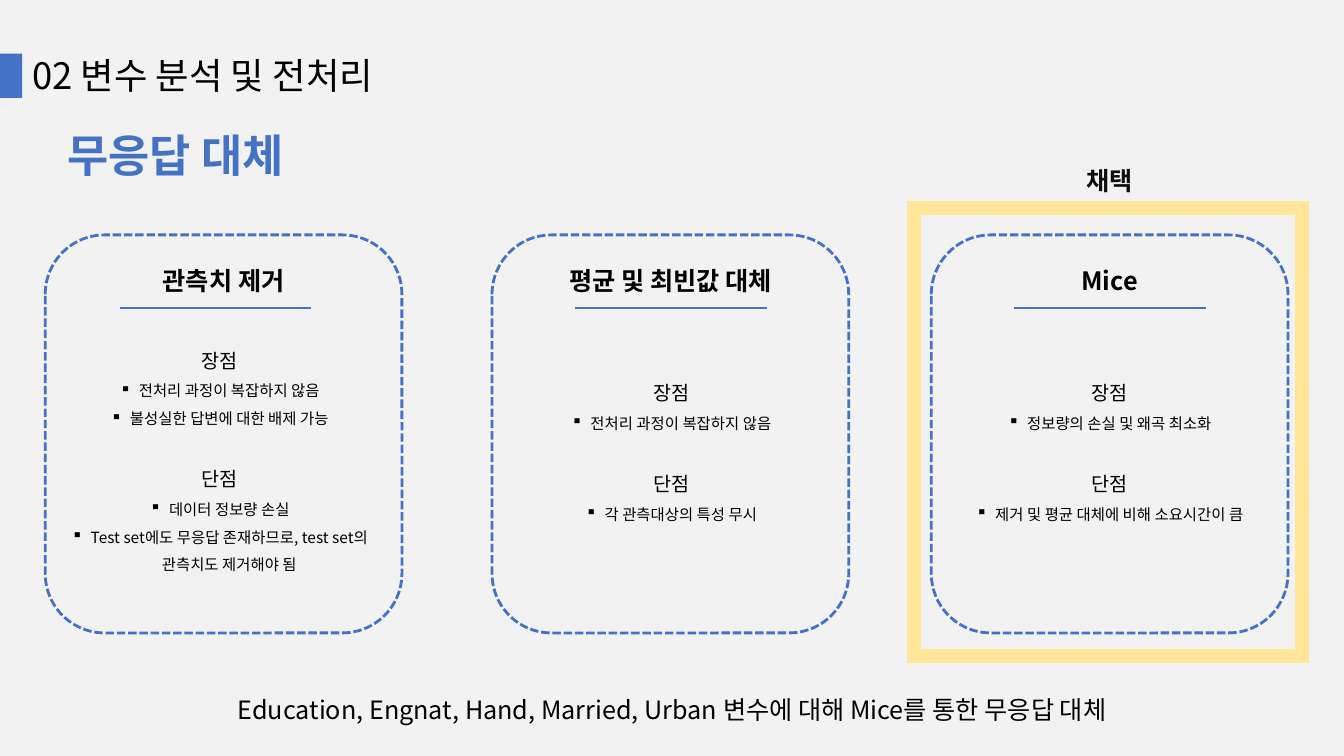
import pptx
import pptx.util
import pptx.dml.color
import pptx.enum.dml
import pptx.enum.shapes
import pptx.enum.text
import pptx.oxml.ns
import lxml.etree

Cm, Pt = pptx.util.Cm, pptx.util.Pt
SHAPE = pptx.enum.shapes.MSO_SHAPE
ALIGN = pptx.enum.text.PP_ALIGN
ANCHOR = pptx.enum.text.MSO_ANCHOR
qn = pptx.oxml.ns.qn

# Content
HEAD = "02 변수 분석 및 전처리"
TITLE = "무응답 대체"
NOTE = "Education, Engnat, Hand, Married, Urban 변수에 대해 Mice를 통한 무응답 대체"
PICK = "채택"
# left edges in cm; rest is the number of free lines below the text
CARDS = [
    {"name": "관측치 제거", "left": 1.14, "rule": 3.02, "body": (1.5, 10.08), "rest": 3,
     "pros": ["전처리 과정이 복잡하지 않음", "불성실한 답변에 대한 배제 가능"],
     "cons": ["데이터 정보량 손실",
              "Test set에도 무응답 존재하므로, test set의 관측치도 제거해야 됨"]},
    {"name": "평균 및 최빈값 대체", "left": 12.4, "rule": 14.5, "body": (12.88, 9.5), "rest": 2,
     "pros": ["전처리 과정이 복잡하지 않음"],
     "cons": ["각 관측대상의 특성 무시"]},
    {"name": "Mice", "left": 23.47, "rule": 25.55, "body": (23.93, 9.5), "rest": 2,
     "pros": ["정보량의 손실 및 왜곡 최소화"],
     "cons": ["제거 및 평균 대체에 비해 소요시간이 큼"]},
]

# Style
FONT = "Noto Sans CJK KR"
COLORS = {"back": "F2F2F2", "blue": "4472C4", "gold": "FFE699",
          "black": "000000", "dark": "0D0D0D"}
WIDE, HIGH = 33.87, 19.05
CARD_W, CARD_H, CARD_TOP = 8.99, 10.03, 5.92
NAME_TOP, NAME_H = 6.55, 1.02
RULE_W, RULE_TOP = 4.83, 7.75
BODY_W, BODY_H = 8.08, 4.9
LINE_GAP = 0.7

deck = pptx.Presentation()
deck.slide_width, deck.slide_height = Cm(WIDE), Cm(HIGH)
slide = deck.slides.add_slide(deck.slide_layouts[6])


def color(key):
    return pptx.dml.color.RGBColor.from_string(COLORS[key])


def add_box(kind, x, y, w, h, fill=None, line=None, width=0):
    box = slide.shapes.add_shape(kind, Cm(x), Cm(y), Cm(w), Cm(h))
    box.shadow.inherit = False
    if fill:
        box.fill.solid()
        box.fill.fore_color.rgb = color(fill)
    else:
        box.fill.background()
    if line:
        box.line.color.rgb = color(line)
        box.line.width = Pt(width)
    else:
        box.line.fill.background()
    return box


def style(para, size, key="black", bold=False):
    for run in para.runs:
        run.font.size = Pt(size)
        run.font.bold = bold
        run.font.color.rgb = color(key)
        run.font.name = FONT
        east = lxml.etree.SubElement(run.font._element, qn("a:ea"))
        east.set("typeface", FONT)


def add_text(text, x, y, w, h, size, key="black", bold=False, align=ALIGN.LEFT, wrap=True):
    box = slide.shapes.add_textbox(Cm(x), Cm(y), Cm(w), Cm(h))
    box.text_frame.word_wrap = wrap
    para = box.text_frame.paragraphs[0]
    para.text = text
    para.alignment = align
    style(para, size, key, bold)


def add_rule(x, y, w):
    rule = slide.shapes.add_connector(
        pptx.enum.shapes.MSO_CONNECTOR.STRAIGHT, Cm(x), Cm(y), Cm(x + w), Cm(y))
    rule.line.color.rgb = color("blue")
    rule.line.width = Pt(1.5)
    lxml.etree.SubElement(rule._element.spPr, qn("a:effectLst"))


def add_body(card):
    x, y = card["body"]
    box = slide.shapes.add_textbox(Cm(x), Cm(y), Cm(BODY_W), Cm(BODY_H))
    frame = box.text_frame
    frame.word_wrap = True
    frame.vertical_anchor = ANCHOR.MIDDLE
    frame.margin_bottom = Cm(0.13 + LINE_GAP * card["rest"])
    rows = [("장점", True)] + [(item, False) for item in card["pros"]]
    rows += [("단점", True)] + [(item, False) for item in card["cons"]]
    for num, (text, top) in enumerate(rows):
        para = frame.add_paragraph() if num else frame.paragraphs[0]
        para.text = text
        para.alignment = ALIGN.CENTER
        para.line_spacing = 1.5
        if top and num:
            para.space_before = Cm(LINE_GAP)
        if not top:
            props = para._p.get_or_add_pPr()
            props.set("marL", str(Cm(0.48)))
            props.set("indent", str(-Cm(0.48)))
            lxml.etree.SubElement(props, qn("a:buChar")).set("char", "▪")
        style(para, 14 if top else 11)


# Background and headings
add_box(SHAPE.RECTANGLE, 0, 0, WIDE, HIGH, fill="back")
add_box(SHAPE.RECTANGLE, 0, 1.35, 0.56, 1.12, fill="blue")
add_text(HEAD, 0.56, 1.22, 16.94, 1.37, 26)
add_text(TITLE, 1.45, 3.1, 12.95, 1.63, 32, "blue", True)

# Cards
for card in CARDS:
    edge = add_box(SHAPE.ROUNDED_RECTANGLE, card["left"], CARD_TOP, CARD_W, CARD_H,
                   line="blue", width=2)
    edge.line.dash_style = pptx.enum.dml.MSO_LINE.SQUARE_DOT
    add_text(card["name"], card["left"], NAME_TOP, CARD_W, NAME_H, 18,
             bold=True, align=ALIGN.CENTER)
    add_rule(card["rule"], RULE_TOP, RULE_W)
    add_body(card)

# Chosen card frame
pick = add_box(SHAPE.RECTANGLE, 23.04, 5.23, 9.78, 11.3, line="gold", width=10)
lxml.etree.SubElement(pick.line._get_or_add_ln(), qn("a:miter")).set("lim", "800000")
add_text(PICK, 27.13, 4.04, 1.68, 1.02, 18, "dark", True, wrap=False)

# Closing line
add_text(NOTE, 0, 17.37, WIDE, 1.02, 18, align=ALIGN.CENTER)

deck.save("out.pptx")
